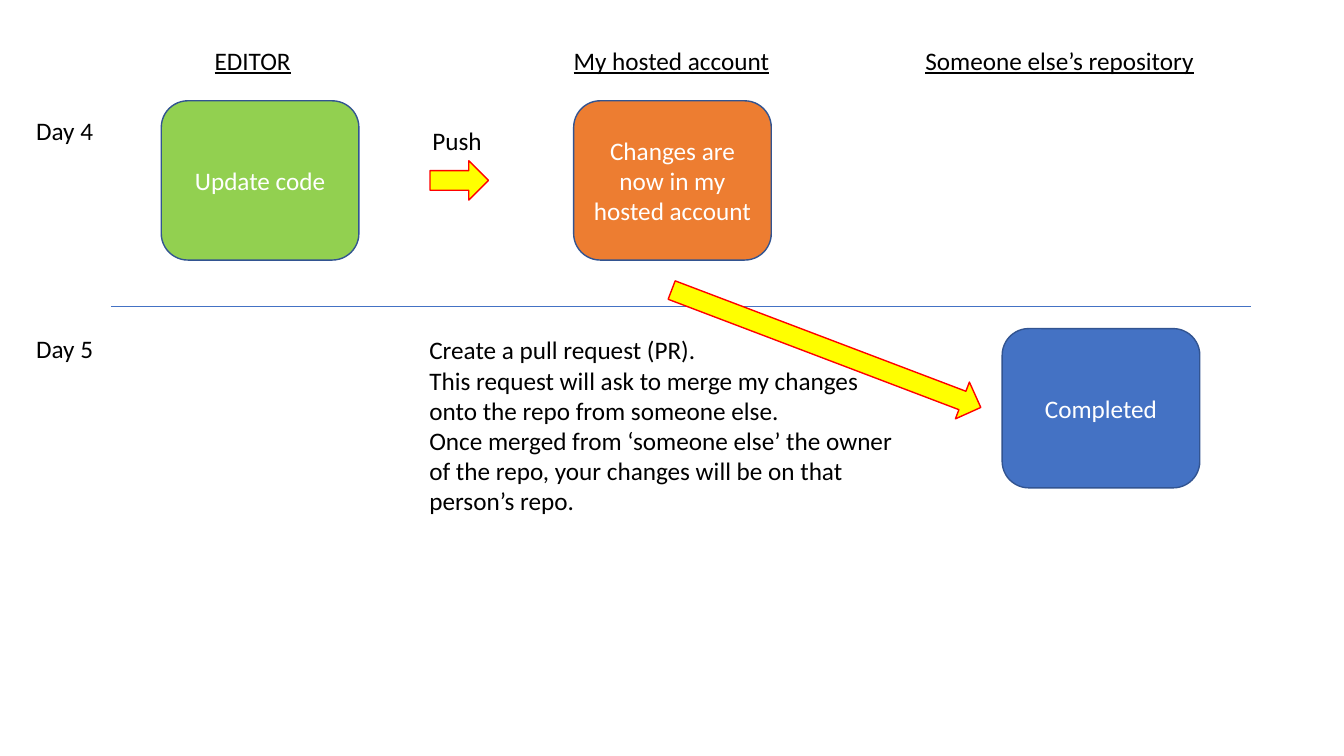
from pptx import Presentation
from pptx.dml.color import RGBColor
from pptx.enum.shapes import MSO_CONNECTOR as Line, MSO_SHAPE as Shape
from pptx.enum.text import MSO_ANCHOR as Anchor, PP_ALIGN as Align
from pptx.oxml.ns import qn
from pptx.util import Inches, Pt

DAY_TOPS = {"Day 4": 1.09, "Day 5": 3.26}
HEADINGS = [  # text, left, width
    ("EDITOR", 2.03, 1.12),
    ("My hosted account", 5.59, 2.15),
    ("Someone else’s repository", 9.08, 2.89),
]
STEPS = [  # text, left, top, fill
    ("Update code", 1.6, 1, "92D050"),
    ("Changes are now in my hosted account", 5.69, 1, "ED7D31"),
    ("Completed", 9.94, 3.26, "4472C4"),
]
ARROWS = [  # left, top, length, rotation
    (4.36, 1.5, 0.58, 270),
    (8, 1.82, 3.28, 290.8),
]
PULL_REQUEST = [
    "Create a pull request (PR).",
    "This request will ask to merge my changes onto the repo from someone else.",
    "Once merged from ‘someone else’ the owner of the repo, "
    "your changes will be on that person’s repo.",
]


def color(value):
    return RGBColor.from_string(value)


def write(frame, lines, ink="000000", align=None, **extra):
    """Fill a text frame with one paragraph per line."""
    frame.word_wrap = True
    formats = {"name": "Calibri", "size": Pt(18), **extra}
    for index, line in enumerate(lines):
        para = frame.add_paragraph() if index else frame.paragraphs[0]
        para.alignment = align
        span = para.add_run()
        span.text = line
        span.font.color.rgb = color(ink)
        for name, value in formats.items():
            setattr(span.font, name, value)


def add_text(page, lines, left, top, width, height=0.4, **extra):
    box = page.shapes.add_textbox(*map(Inches, (left, top, width, height)))
    write(box.text_frame, lines, **extra)


def add_filled(page, kind, left, top, width, height, fill, outline):
    shape = page.shapes.add_shape(kind, *map(Inches, (left, top, width, height)))
    shape.shadow.inherit = False
    shape.fill.solid()
    shape.fill.fore_color.rgb = color(fill)
    shape.line.color.rgb = color(outline)
    shape.line.width = Pt(1)
    return shape


def add_step(page, text, left, top, fill):
    step = add_filled(page, Shape.ROUNDED_RECTANGLE, left, top, 1.96, 1.58, fill, "325491")
    step.text_frame.vertical_anchor = Anchor.MIDDLE
    write(step.text_frame, [text], "FFFFFF", Align.CENTER)


def add_arrow(page, left, top, length, rotation):
    arrow = add_filled(page, Shape.DOWN_ARROW, left, top, 0.39, length, "FFFF00", "FF0000")
    arrow.rotation = rotation


def add_divider(page, left, right, top):
    divider = page.shapes.add_connector(
        Line.STRAIGHT, *map(Inches, (left, top, right, top)))
    divider.line.color.rgb = color("4472C4")
    divider.line.width = Pt(0.5)
    properties = divider.element.spPr
    properties.append(properties.makeelement(qn("a:effectLst"), {}))


def build_workflow(page):
    add_divider(page, 1.1, 12.41, 3.04)
    for day, top in DAY_TOPS.items():
        add_text(page, [day], 0.26, top, 1.67)
    for heading, left, width in HEADINGS:
        add_text(page, [heading], left, 0.4, width, underline=True)
    for step in STEPS:
        add_step(page, *step)
    for arrow in ARROWS:
        add_arrow(page, *arrow)
    add_text(page, ["Push"], 4.19, 1.19, 0.87)
    add_text(page, PULL_REQUEST, 4.16, 3.27, 4.87, 2.22)


def main():
    deck = Presentation()
    deck.slide_width, deck.slide_height = Inches(13.33), Inches(7.5)
    build_workflow(deck.slides.add_slide(deck.slide_layouts[6]))
    deck.save("out.pptx")


if __name__ == "__main__":
    main()
